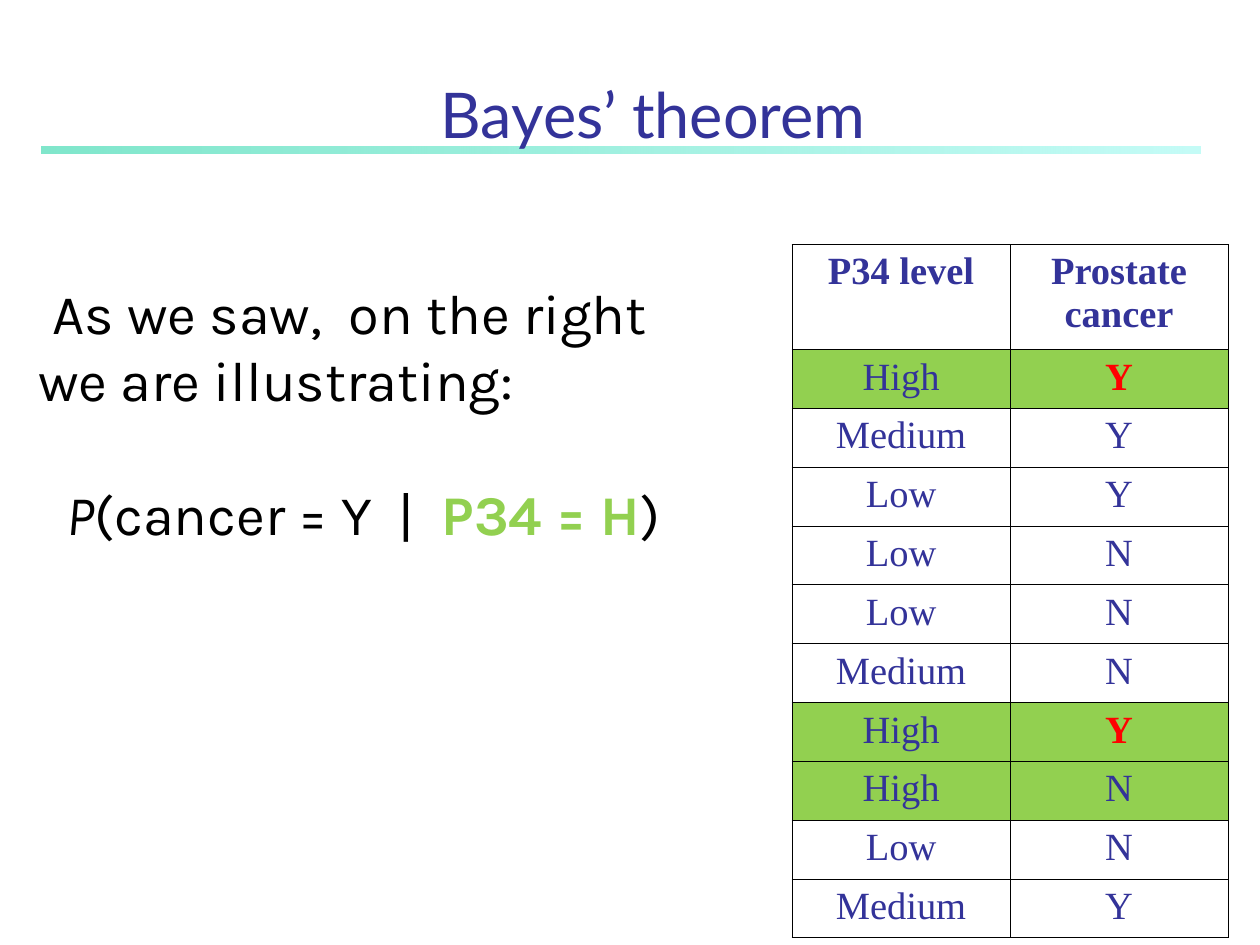
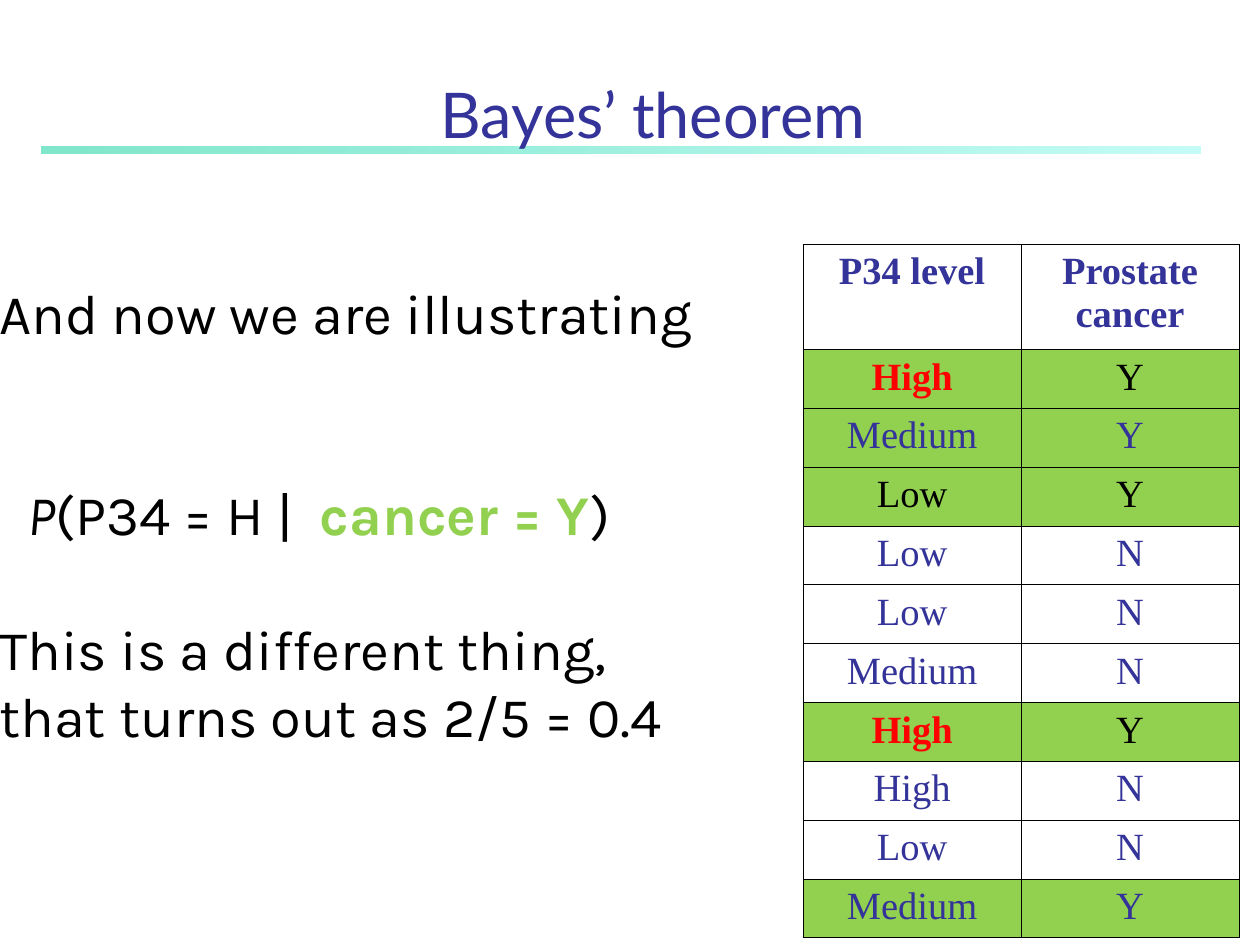
from pptx import Presentation
from pptx.dml.color import RGBColor
from pptx.enum.shapes import MSO_SHAPE
from pptx.enum.text import MSO_ANCHOR, PP_ALIGN
from pptx.oxml.ns import qn
from pptx.util import Pt
from lxml.etree import SubElement

COLORS = {
    "navy": "333399", "black": "000000", "white": "FFFFFF", "red": "FF0000",
    "green": "92D050", "band_left": "00CE98", "band_right": "8FF9EF",
}
FONTS = {"title": "Lato", "body": "Karla", "table": "Times New Roman"}

TITLE = "Bayes’ theorem"
HEADERS = ("P34 level", "Prostate cancer")
PATIENTS = [
    ("High", "Y"), ("Medium", "Y"), ("Low", "Y"), ("Low", "N"), ("Low", "N"),
    ("Medium", "N"), ("High", "Y"), ("High", "N"), ("Low", "N"), ("Medium", "Y"),
]
LEVEL, CANCER = 0, 1
BODY_LINE = 38.4
SPACE = 8

# Body lines: blank lines above, leading indent, runs of (text, style).
SLIDES = [
    {
        "table_left": 452.6, "body_box": (15.1, 117.4, 386.6, 236.9),
        "given": (LEVEL, "High"), "asked": (CANCER, "Y"), "black_levels": (),
        "body": [
            (0, SPACE, [("As we saw,  on the right", "")]),
            (0, 0, [("we are illustrating:", "")]),
            (1, 2 * SPACE, [("P", "italic"), ("(cancer = Y  |  ", ""),
                            ("P34 = H", "given"), (")", "")]),
        ],
    },
    {
        "table_left": 458.9, "body_box": (-7.2, 117.4, 424.8, 352.1),
        "given": (CANCER, "Y"), "asked": (LEVEL, "High"), "black_levels": ("High", "Low"),
        "body": [
            (0, 0, [("And now we are illustrating", "")]),
            (2, 2 * SPACE, [("P", "italic"), ("(P34 = H |  ", ""),
                            ("cancer = Y", "given"), (")", "")]),
            (1, 0, [("This is a different thing,", "")]),
            (0, 0, [("that turns out as 2/5 = 0.4", "")]),
        ],
    },
]


def color(name):
    return RGBColor.from_string(COLORS[name])


def format_run(run, font, size, color_name, bold=False, italic=False):
    run.font.name = FONTS[font]
    run.font.size = Pt(size)
    run.font.color.rgb = color(color_name)
    run.font.bold = bold
    run.font.italic = italic


def add_band(slide):
    band = slide.shapes.add_shape(MSO_SHAPE.RECTANGLE, Pt(23.6), Pt(84), Pt(662.4), Pt(4))
    band.shadow.inherit = False
    band.line.fill.background()
    band.fill.gradient()
    band.fill.gradient_angle = 0
    stops = (("band_left", 50), ("band_right", 52))
    for stop, (name, opacity) in zip(band.fill.gradient_stops, stops):
        stop.color.rgb = color(name)
    for element, (name, opacity) in zip(band._element.spPr.iter(qn("a:srgbClr")), stops):
        SubElement(element, qn("a:alpha"), val=str(opacity * 1000))


def add_title(slide):
    box = slide.shapes.add_textbox(Pt(26.6), Pt(0), Pt(693.4), Pt(90))
    frame = box.text_frame
    frame.word_wrap = True
    frame.vertical_anchor = MSO_ANCHOR.BOTTOM
    frame.text = TITLE
    paragraph = frame.paragraphs[0]
    paragraph.alignment = PP_ALIGN.CENTER
    format_run(paragraph.runs[0], "title", 36, "navy")


def add_borders(cell):
    properties = cell._tc.get_or_add_tcPr()
    for side in ("lnL", "lnR", "lnT", "lnB"):
        line = SubElement(properties, qn(f"a:{side}"), w=str(Pt(0.45)))
        fill = SubElement(line, qn("a:solidFill"))
        SubElement(fill, qn("a:srgbClr"), val=COLORS["black"])


def fill_cell(cell, text, fill, text_color, bold):
    add_borders(cell)
    cell.fill.solid()
    cell.fill.fore_color.rgb = color(fill)
    cell.text_frame.text = text
    paragraph = cell.text_frame.paragraphs[0]
    paragraph.alignment = PP_ALIGN.CENTER
    format_run(paragraph.runs[0], "table", 22, text_color, bold)


def add_patient_table(slide, content):
    header_height, row_height, column_width = 52.5, 26.5, 124.6
    table = slide.shapes.add_table(
        len(PATIENTS) + 1, len(HEADERS), Pt(content["table_left"]), Pt(139.7),
        Pt(column_width * len(HEADERS)),
        Pt(header_height + row_height * len(PATIENTS))).table
    for column in table.columns:
        column.width = Pt(column_width)
    for index, row in enumerate(table.rows):
        row.height = Pt(row_height if index else header_height)
    for column, header in enumerate(HEADERS):
        fill_cell(table.cell(0, column), header, "white", "navy", True)

    given_column, given_value = content["given"]
    for row, patient in enumerate(PATIENTS, 1):
        selected = patient[given_column] == given_value
        plain = "black" if selected and patient[LEVEL] in content["black_levels"] else "navy"
        for column, value in enumerate(patient):
            counted = selected and (column, value) == content["asked"]
            fill_cell(table.cell(row, column), value, "green" if selected else "white",
                      "red" if counted else plain, counted)


def add_body(slide, content):
    box = slide.shapes.add_textbox(*(Pt(length) for length in content["body_box"]))
    frame = box.text_frame
    frame.word_wrap = True
    frame.margin_left = frame.margin_right = Pt(6.8)
    frame.margin_top, frame.margin_bottom = Pt(3.2 + BODY_LINE), Pt(3.2)
    for index, (blank_lines, indent, pieces) in enumerate(content["body"]):
        paragraph = frame.add_paragraph() if index else frame.paragraphs[0]
        paragraph.space_before = Pt(blank_lines * BODY_LINE)
        paragraph._p.get_or_add_pPr().set("indent", str(Pt(indent)))
        for text, style in pieces:
            run = paragraph.add_run()
            run.text = text
            given = style == "given"
            format_run(run, "body", 32, "green" if given else "black", given, style == "italic")


def main():
    presentation = Presentation()
    presentation.slide_width, presentation.slide_height = Pt(720), Pt(540)
    for content in SLIDES:
        slide = presentation.slides.add_slide(presentation.slide_layouts[6])
        add_band(slide)
        add_title(slide)
        add_patient_table(slide, content)
        add_body(slide, content)
    presentation.save("out.pptx")


if __name__ == "__main__":
    main()
